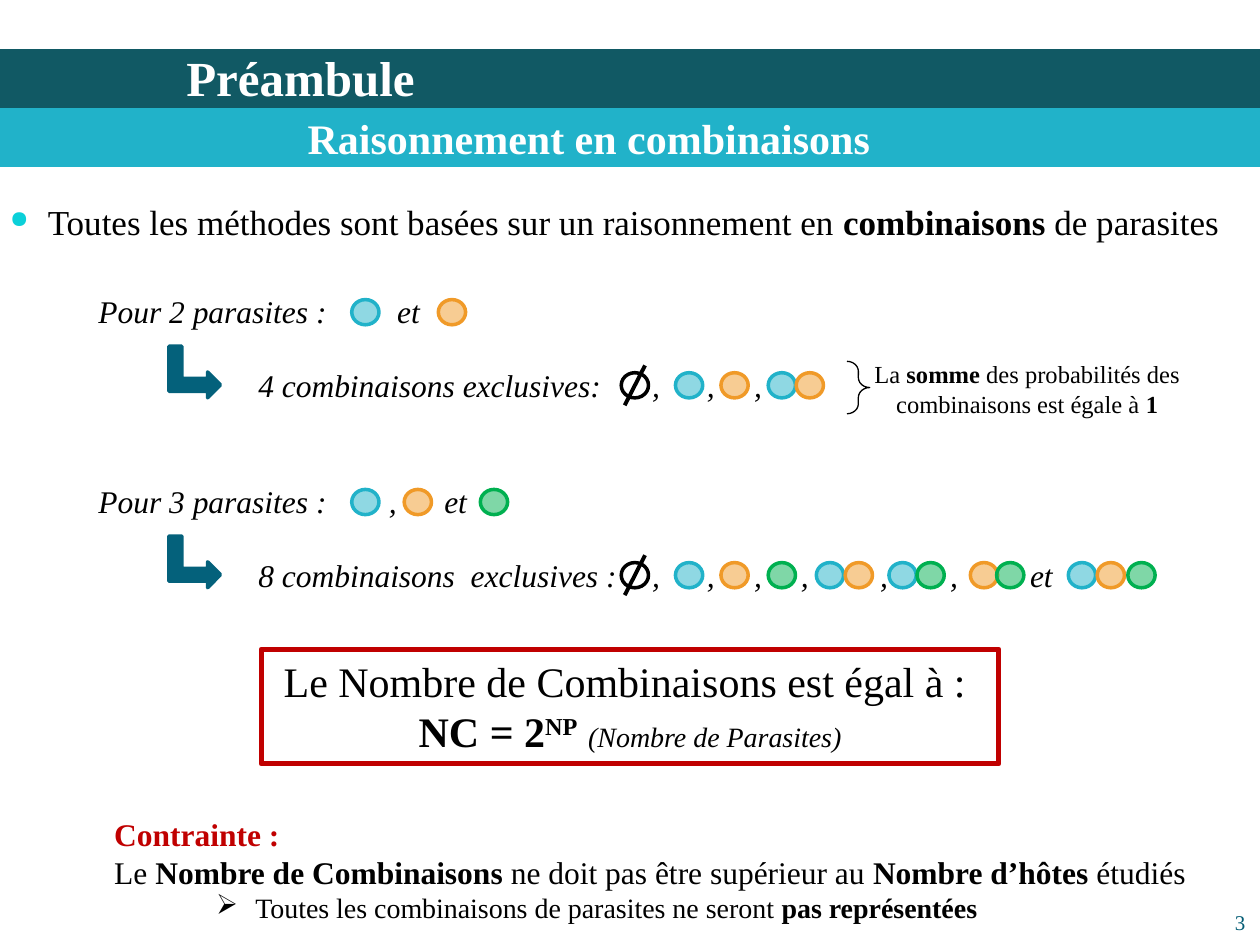
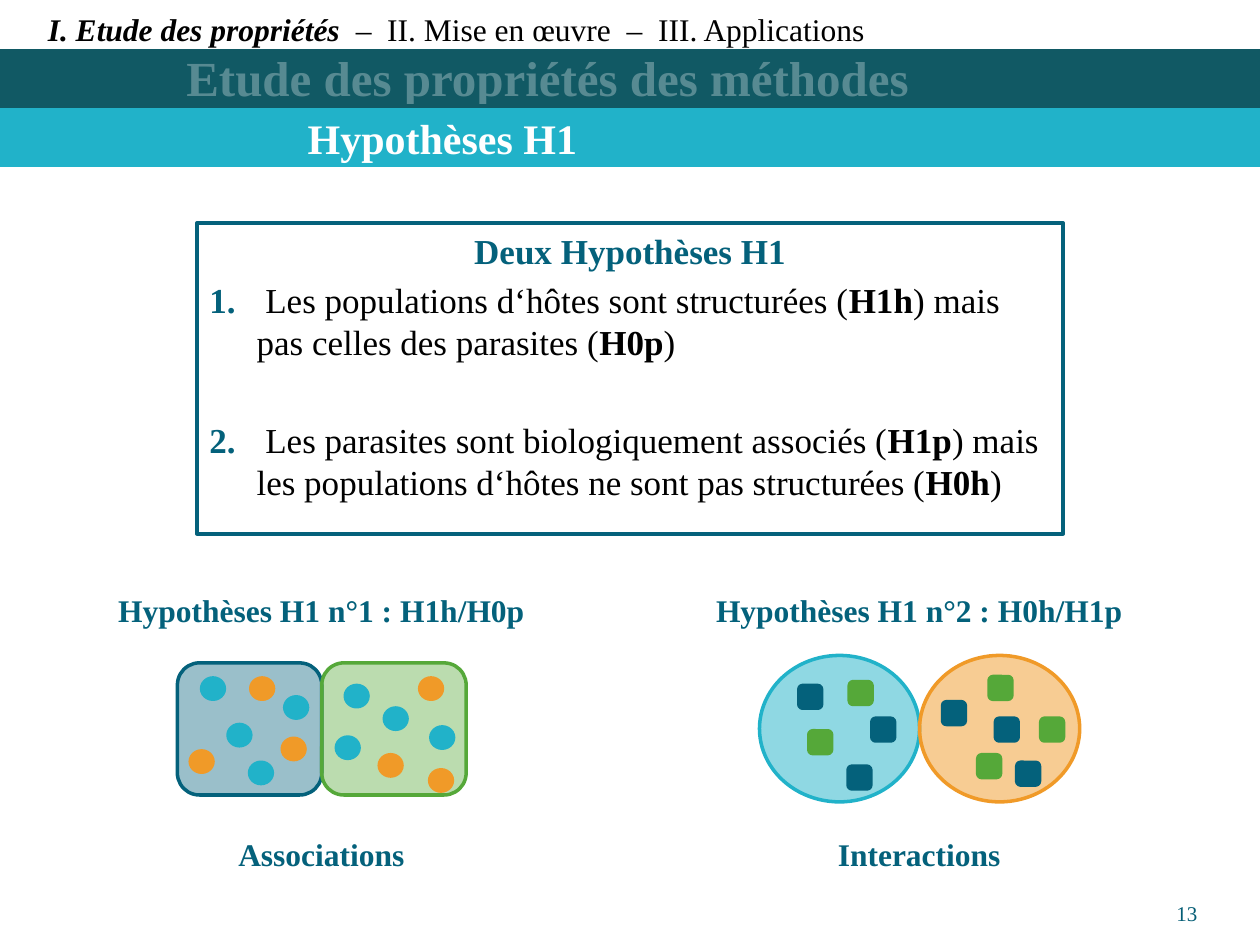
from dataclasses import dataclass
from typing import NamedTuple, Optional

from lxml import etree
from pptx import Presentation
from pptx.dml.color import RGBColor
from pptx.enum.shapes import MSO_CONNECTOR, MSO_SHAPE
from pptx.enum.text import MSO_ANCHOR, MSO_AUTO_SIZE, PP_ALIGN
from pptx.oxml.ns import qn
from pptx.util import Pt

RECT, ROUNDED, OVAL = MSO_SHAPE.RECTANGLE, MSO_SHAPE.ROUNDED_RECTANGLE, MSO_SHAPE.OVAL
BENT_ARROW, BRACE = MSO_SHAPE.BENT_UP_ARROW, MSO_SHAPE.RIGHT_BRACE
STRAIGHT = MSO_CONNECTOR.STRAIGHT
LEFT, CENTER, RIGHT = PP_ALIGN.LEFT, PP_ALIGN.CENTER, PP_ALIGN.RIGHT
TOP, BOTTOM = MSO_ANCHOR.TOP, MSO_ANCHOR.BOTTOM
NO_FIT = MSO_AUTO_SIZE.NONE


@dataclass(frozen=True)
class Theme:
    font: str = "Times New Roman"
    black: str = "000000"
    white: str = "FFFFFF"
    band: str = "115964"
    blue: str = "21B2C9"
    orange: str = "F09A28"
    green: str = "00B050"
    leaf: str = "55A839"
    petrol: str = "04617B"
    red: str = "C00000"
    bullet: str = "0BD0D9"
    page: str = "045D75"
    title: float = 28
    subtitle: float = 24
    body: float = 20
    label: float = 18
    detail: float = 16
    note: float = 14
    number: float = 12


THEME = Theme()


class Box(NamedTuple):
    left: float
    top: float
    width: float
    height: float


class Run(NamedTuple):
    text: str
    size: float = THEME.label
    color: str = THEME.black
    bold: bool = False
    italic: bool = False
    raised: int = 0


@dataclass(frozen=True)
class Para:
    runs: list[Run]
    align: PP_ALIGN = LEFT
    before: float = 0
    spacing: Optional[float] = None
    margin: float = 0
    indent: float = 0
    bullet: str = ""
    bullet_color: str = ""
    numbered: bool = False


class Mark(NamedTuple):
    color: str
    left: float
    top: float = 0


class Phrase(NamedTuple):
    text: str
    left: float
    width: float = 30


@dataclass(frozen=True)
class CombinationCase:
    top: float
    question: list[Phrase]
    parasites: list[Mark]
    answer: list[Phrase]
    combinations: list[Mark]


@dataclass(frozen=True)
class Hypothesis:
    center: float
    heading: str
    conclusion: str
    outline: MSO_SHAPE
    areas: list[tuple[Box, str]]
    opacity: int
    mark_shape: MSO_SHAPE
    mark_height: float
    marks: list[Mark]


def rgb(color: str) -> RGBColor:
    return RGBColor.from_string(color)


def add_child(parent, tag: str, **attributes: str):
    child = etree.SubElement(parent, qn(tag))
    for key, value in attributes.items():
        child.set(key, value)
    return child


def write_para(paragraph, para: Para) -> None:
    paragraph.alignment = para.align
    paragraph.space_before = Pt(para.before)
    if para.spacing:
        paragraph.line_spacing = para.spacing
    props = paragraph._p.get_or_add_pPr()
    props.set("marL", str(Pt(para.margin)))
    props.set("indent", str(Pt(para.indent)))
    if para.bullet_color:
        add_child(add_child(props, "a:buClr"), "a:srgbClr", val=para.bullet_color)
        add_child(props, "a:buSzPct", val="68000")
    if para.numbered:
        add_child(props, "a:buAutoNum", type="arabicPeriod")
    elif para.bullet:
        add_child(props, "a:buChar", char=para.bullet)
    for piece in para.runs:
        run = paragraph.add_run()
        run.text = piece.text
        run.font.name, run.font.size = THEME.font, Pt(piece.size)
        run.font.bold, run.font.italic = piece.bold, piece.italic
        run.font.color.rgb = rgb(piece.color)
        if piece.raised:
            run._r.get_or_add_rPr().set("baseline", str(piece.raised * 1000))


def write_text(shape, paras: list[Para], anchor=TOP, insets=(7.2, 3.6, 7.2, 3.6), wrap: bool = True) -> None:
    frame = shape.text_frame
    frame.auto_size, frame.word_wrap, frame.vertical_anchor = NO_FIT, wrap, anchor
    frame.margin_left, frame.margin_top, frame.margin_right, frame.margin_bottom = map(Pt, insets)
    for index, para in enumerate(paras):
        write_para(frame.add_paragraph() if index else frame.paragraphs[0], para)


def add_text(slide, box: Box, paras: list[Para], **layout) -> None:
    write_text(slide.shapes.add_textbox(*map(Pt, box)), paras, **layout)


def add_figure(slide, kind: MSO_SHAPE, box: Box, line: str, fill: str = "",
               opacity: int = 100, weight: float = 2):
    figure = slide.shapes.add_shape(kind, *map(Pt, box))
    figure.shadow.inherit = False
    figure.line.color.rgb, figure.line.width = rgb(line), Pt(weight)
    if not fill:
        figure.fill.background()
        return figure
    figure.fill.solid()
    figure.fill.fore_color.rgb = rgb(fill)
    if opacity < 100:
        color = figure._element.spPr.find(qn("a:solidFill"))[0]
        add_child(color, "a:alpha", val=str(opacity * 1000))
    return figure


def add_title_band(slide, opacity: int = 100) -> None:
    add_figure(slide, RECT, Box(0, 29, 720, 31.5), THEME.band, THEME.band, opacity)


def start_slide(deck, title: str, subtitle: str, page: str, page_box: Box):
    slide = deck.slides.add_slide(deck.slide_layouts[5])
    add_title_band(slide)
    add_figure(slide, RECT, Box(0, 62.7, 720, 31.5), THEME.blue, THEME.blue)
    add_text(slide, Box(168.7, 61, 551.3, 36.5),
             [Para([Run(subtitle, THEME.subtitle, THEME.white, True)])])
    heading = slide.shapes.title
    heading.left, heading.top, heading.width, heading.height = map(Pt, (106.5, 33.4, 530, 27.5))
    write_text(heading, [Para([Run(title, THEME.title, THEME.white, True)])], BOTTOM, (0, 3.6, 0, 0))
    heading._element.getparent().append(heading._element)
    add_text(slide, page_box, [Para([Run(page, THEME.number, THEME.page)], RIGHT)],
             anchor=BOTTOM, insets=(0, 0, 0, 0))
    return slide


def draw_parasite(slide, color: str, left: float, top: float, fill: str) -> None:
    add_figure(slide, OVAL, Box(left, top, 15.6, 14.4), color, fill, 50)


def draw_case(slide, case: CombinationCase) -> None:
    answer_top = case.top + 42.3
    rows = ((case.top, case.question, case.top + 7.7, case.parasites),
            (answer_top, case.answer, answer_top + 7.2, case.combinations))
    for text_top, phrases, mark_top, marks in rows:
        for phrase in phrases:
            add_text(slide, Box(phrase.left, text_top, phrase.width, 29),
                     [Para([Run(phrase.text, italic=True)])], insets=(0, 3.6, 0, 3.6), wrap=False)
        for mark in marks:
            draw_parasite(slide, mark.color, mark.left, mark_top, mark.color)
    draw_parasite(slide, THEME.black, 355, answer_top + 7.2, THEME.white)
    strike = slide.shapes.add_connector(
        STRAIGHT, Pt(368.6), Pt(answer_top + 3), Pt(357), Pt(answer_top + 25.8))
    strike.line.color.rgb, strike.line.width = rgb(THEME.black), Pt(2.25)
    add_child(strike._element.spPr, "a:effectLst")
    arrow = add_figure(slide, BENT_ARROW, Box(96.5, case.top + 34.3, 29.5, 29.5),
                       THEME.petrol, THEME.petrol)
    arrow.rotation = 90


def draw_hypothesis(slide, hypothesis: Hypothesis) -> None:
    for top, words in ((334, hypothesis.heading), (473.8, hypothesis.conclusion)):
        add_text(slide, Box(hypothesis.center - 124.5, top, 249, 29),
                 [Para([Run(words, color=THEME.petrol, bold=True)], CENTER)], wrap=False)
    for box, color in hypothesis.areas:
        add_figure(slide, hypothesis.outline, box, color, color, hypothesis.opacity)
    for mark in hypothesis.marks:
        add_figure(slide, hypothesis.mark_shape, Box(mark.left, mark.top, 13, hypothesis.mark_height),
                   mark.color, mark.color)


def marks_of(color: str, *places: tuple[float, float]) -> list[Mark]:
    return [Mark(color, *place) for place in places]


def commas(*lefts: float) -> list[Phrase]:
    return [Phrase(",", left) for left in lefts]


def build_combinations(deck) -> None:
    slide = start_slide(deck, "Préambule", "Raisonnement en combinaisons", "3",
                        Box(651.6, 505.5, 60, 28.8))
    blue, orange, green = THEME.blue, THEME.orange, THEME.green
    body, note, detail = THEME.body, THEME.note, THEME.detail
    add_text(slide, Box(-1.4, 111, 721.4, 48), [Para([
        Run("Toutes les méthodes sont basées sur un raisonnement en ", body),
        Run("combinaisons", body, bold=True),
        Run(" de parasites", body),
    ], before=4, margin=21.6, indent=-21.6, bullet="●", bullet_color=THEME.bullet)])

    shared_commas = commas(372.6, 404, 430.9)
    cases = [
        CombinationCase(
            163.5, [Phrase("Pour 2 parasites :", 56.2, 140), Phrase("et", 226.9)],
            [Mark(blue, 201), Mark(orange, 250.5)],
            [Phrase("4 combinaisons exclusives:", 147.6, 205), *shared_commas],
            [Mark(blue, 386), Mark(orange, 412), Mark(blue, 439), Mark(orange, 455)]),
        CombinationCase(
            272, [Phrase("Pour 3 parasites :", 56.2, 140), *commas(222.3), Phrase("et", 253.9)],
            [Mark(blue, 201), Mark(orange, 231), Mark(green, 274.5)],
            [Phrase("8 combinaisons  exclusives :", 147.6, 207),
             *shared_commas, *commas(457.7, 503, 543), Phrase("et", 588.6)],
            [Mark(blue, 386), Mark(orange, 412), Mark(green, 439),
             Mark(blue, 466.5), Mark(orange, 483), Mark(blue, 508), Mark(green, 524),
             Mark(orange, 554.5), Mark(green, 569.5),
             Mark(blue, 610.5), Mark(orange, 627), Mark(green, 644.5)]),
    ]
    for case in cases:
        draw_case(slide, case)

    brace = add_figure(slide, BRACE, Box(484, 206.5, 13, 30), THEME.black, weight=0.75)
    brace.adjustments[0], brace.adjustments[1] = 0.438, 0.5
    add_text(slide, Box(492.3, 201.8, 189.4, 41), [Para([
        Run("La ", note), Run("somme", note, bold=True),
        Run(" des probabilités des combinaisons est égale à ", note), Run("1", note, bold=True),
    ], CENTER)])

    formula = add_figure(slide, RECT, Box(149.3, 371, 421.5, 65.5), THEME.red, weight=3)
    write_text(formula, [
        Para([Run("Le Nombre de Combinaisons est égal à : ", THEME.subtitle)], CENTER),
        Para([Run("NC = 2", THEME.subtitle, bold=True),
              Run("NP", THEME.subtitle, bold=True, raised=30),
              Run(" ", THEME.subtitle, bold=True),
              Run("(Nombre de Parasites)", detail, italic=True)], CENTER),
    ])
    add_text(slide, Box(58.2, 462.3, 635, 72.7), [
        Para([Run("Contrainte :", color=THEME.red, bold=True)]),
        Para([Run("Le "), Run("Nombre de Combinaisons ", bold=True),
              Run("ne doit pas être supérieur au "), Run("Nombre d’hôtes ", bold=True),
              Run("étudiés")]),
        Para([Run("Toutes les combinaisons de parasites ne seront ", detail),
              Run("pas représentées", detail, bold=True)],
             margin=80.6, indent=-22.3, bullet="➢"),
    ])


def numbered_hypothesis(before: float, opening: str, first: str, middle: str, second: str) -> Para:
    size = THEME.body
    return Para([
        Run(" ", size, THEME.petrol, True), Run(opening, size), Run(first, size, bold=True),
        Run(middle, size), Run(second, size, bold=True), Run(")", size),
    ], before=before, margin=27, indent=-27, numbered=True)


def build_hypotheses(deck) -> None:
    slide = start_slide(deck, "Etude des propriétés des méthodes", "Hypothèses H1", "13",
                        Box(624.2, 500.4, 60, 28.8))
    add_title_band(slide, 70)
    add_text(slide, Box(-1.4, -8.6, 720.7, 37.4), [Para([
        Run("I. Etude des propriétés  ", bold=True, italic=True),
        Run("–  II. Mise en œuvre  –  III. Applications"),
    ], before=6, spacing=1.5, margin=21.6)])
    statement = add_figure(slide, RECT, Box(112.5, 127.5, 495, 177.5), THEME.petrol, weight=2.25)
    write_text(statement, [
        Para([Run("Deux Hypothèses H1", THEME.body, THEME.petrol, True)], CENTER, before=4),
        numbered_hypothesis(4, "Les populations d‘hôtes sont structurées (", "H1h",
                            ") mais pas celles des parasites (", "H0p"),
        numbered_hypothesis(32, "Les parasites sont biologiquement associés (", "H1p",
                            ") mais les populations d‘hôtes ne sont pas structurées (", "H0h"),
    ])
    hypotheses = [
        Hypothesis(
            183.7, "Hypothèses H1 n°1 : H1h/H0p", "Associations", ROUNDED,
            [(Box(101.4, 378.8, 82.5, 75.5), THEME.petrol), (Box(183.9, 378.8, 82.5, 75.5), THEME.leaf)],
            40, OVAL, 12.2,
            marks_of(THEME.blue, (197.3, 391.7), (192.2, 421.2), (246.2, 415.4), (162.7, 398.2),
                     (115.2, 387.4), (130.3, 414), (219.6, 404.6), (142.6, 435.6))
            + marks_of(THEME.orange, (239.8, 387.4), (245.5, 439.9), (216.7, 431.3),
                       (161.3, 421.9), (143.3, 387.4), (108.7, 429.1))),
        Hypothesis(
            525.3, "Hypothèses H1 n°2 : H0h/H1p", "Interactions", OVAL,
            [(Box(434, 374.5, 91.5, 83.7), THEME.blue), (Box(525.5, 374.5, 91.5, 83.7), THEME.orange)],
            50, ROUNDED, 13,
            marks_of(THEME.petrol, (456.5, 391.7), (498.2, 410.4), (484.6, 437.8),
                     (538.6, 401), (581, 435.6), (568.8, 410.4))
            + marks_of(THEME.leaf, (485.3, 389.5), (462.2, 417.6), (565.2, 386.6),
                       (594.7, 410.4), (558.7, 431.3))),
    ]
    for hypothesis in hypotheses:
        draw_hypothesis(slide, hypothesis)


def main() -> None:
    deck = Presentation()
    deck.slide_width, deck.slide_height = Pt(720), Pt(540)
    build_combinations(deck)
    build_hypotheses(deck)
    deck.save("out.pptx")


if __name__ == "__main__":
    main()
